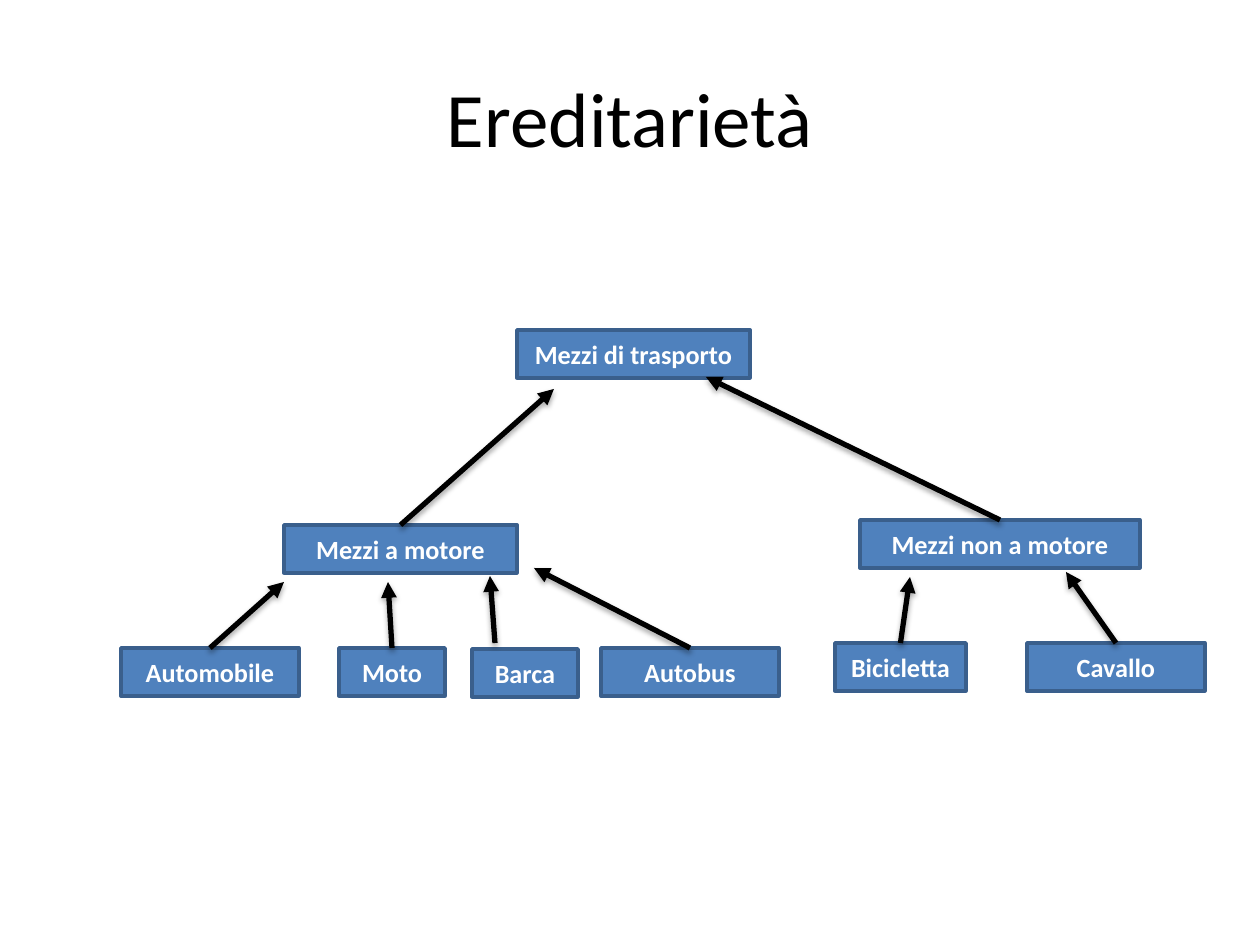
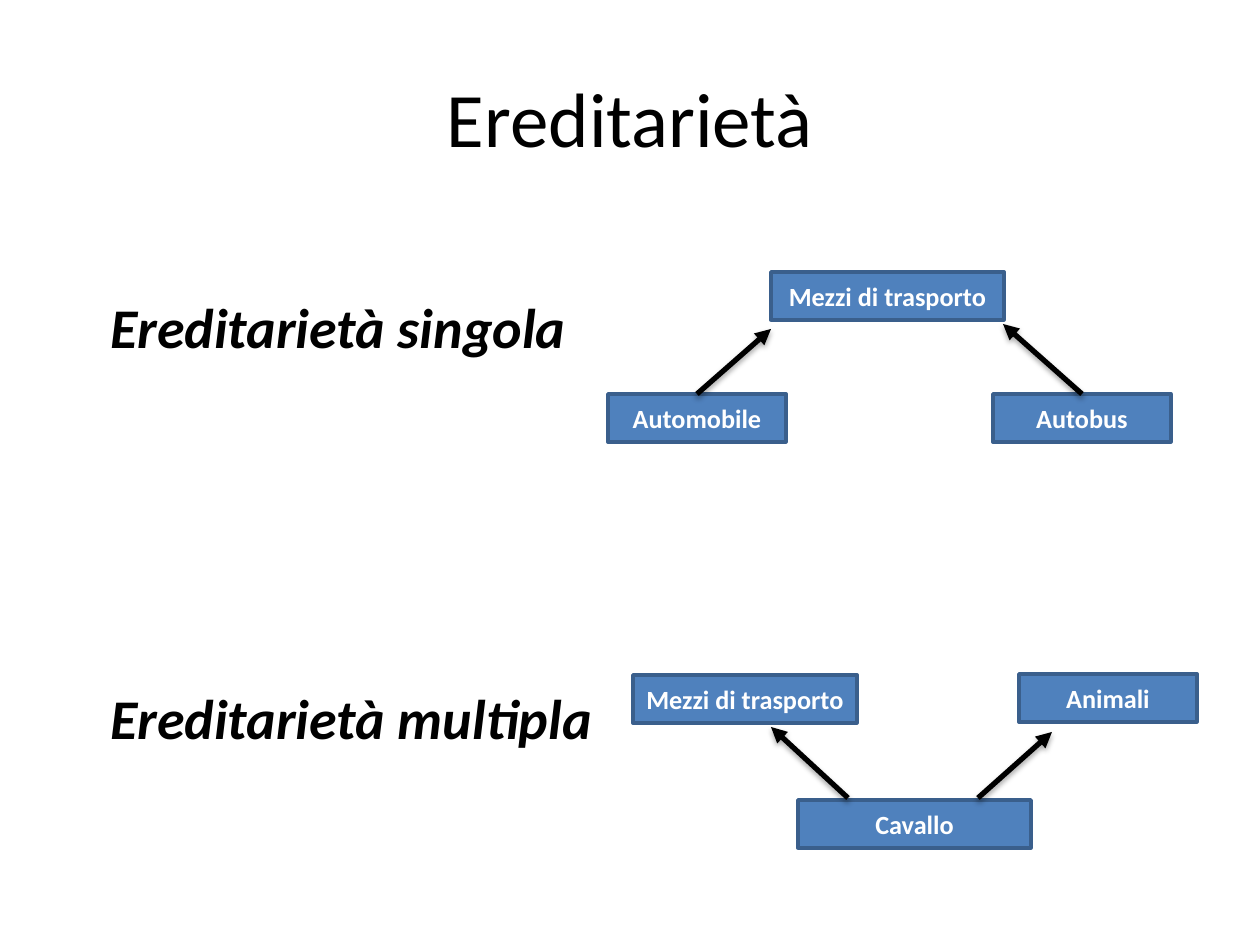
from lxml.etree import SubElement
from pptx import Presentation
from pptx.dml.color import RGBColor
from pptx.enum.shapes import MSO_CONNECTOR, MSO_SHAPE
from pptx.enum.text import MSO_ANCHOR, PP_ALIGN
from pptx.oxml import parse_xml
from pptx.oxml.ns import nsdecls, qn
from pptx.util import Emu, Pt

PX = 914400 / 126
BLACK = RGBColor(0x00, 0x00, 0x00)
WHITE = RGBColor(0xFF, 0xFF, 0xFF)
BLUE = RGBColor(0x4F, 0x81, 0xBD)
DARK_BLUE = RGBColor(0x3A, 0x5F, 0x8C)

TITLE_FONT = {"name": "Calibri", "size": Pt(44)}
HEADING_FONT = {"name": "Calibri", "size": Pt(32), "bold": True, "italic": True}
CLASS_FONT = {"name": "Calibri", "size": Pt(15), "bold": True}

TOP = 0
BOX_HEIGHT = 48
NARROW, MEDIUM, WIDE = 106, 178, 233

ARROW_SHADOW = (
    f'<a:effectLst {nsdecls("a")}>'
    '<a:outerShdw blurRad="40000" dist="23000" dir="5400000" rotWithShape="0">'
    '<a:srgbClr val="000000"><a:alpha val="35000"/></a:srgbClr>'
    '</a:outerShdw></a:effectLst>'
)


def px(*lengths):
    return [Emu(round(length * PX)) for length in lengths]


class DiagramDeck:
    def __init__(self, width, height):
        self.deck = Presentation()
        self.deck.slide_width, self.deck.slide_height = px(width, height)
        self.page = None

    def add_page(self, title):
        self.page = self.deck.slides.add_slide(self.deck.slide_layouts[6])
        self.add_text((63, 38, 1134, 158), [title], TITLE_FONT,
                      PP_ALIGN.CENTER, MSO_ANCHOR.MIDDLE)

    def set_lines(self, frame, lines, font, color, align, anchor, gap=0):
        frame.word_wrap = True
        frame.vertical_anchor = anchor
        for index, line in enumerate(lines):
            para = frame.add_paragraph() if index else frame.paragraphs[0]
            para.alignment = align
            if index:
                para.space_before = Pt(gap)
            span = para.add_run()
            span.text = line
            for name, value in font.items():
                setattr(span.font, name, value)
            span.font.color.rgb = color

    def add_text(self, area, lines, font, align, anchor, gap=0):
        box = self.page.shapes.add_textbox(*px(*area))
        self.set_lines(box.text_frame, lines, font, BLACK, align, anchor, gap)

    def add_class(self, name, left, top, width, parent_point=None):
        """Add a class box, with an arrow from its top to parent_point."""
        box = self.page.shapes.add_shape(
            MSO_SHAPE.RECTANGLE, *px(left, top, width, BOX_HEIGHT))
        box.shadow.inherit = False
        box.fill.solid()
        box.fill.fore_color.rgb = BLUE
        box.line.color.rgb = DARK_BLUE
        box.line.width = Pt(2)
        frame = box.text_frame
        frame.margin_left = frame.margin_right = px(6)[0]
        self.set_lines(frame, [name], CLASS_FONT, WHITE,
                       PP_ALIGN.CENTER, MSO_ANCHOR.MIDDLE)
        if parent_point:
            arrow = self.add_arrow((left + width // 2, top), parent_point)
            arrow.begin_connect(box, TOP)

    def add_arrow(self, start, end):
        arrow = self.page.shapes.add_connector(
            MSO_CONNECTOR.STRAIGHT, *px(*start, *end))
        arrow.line.color.rgb = BLACK
        arrow.line.width = Pt(3)
        properties = arrow._element.spPr
        SubElement(properties.find(qn("a:ln")), qn("a:tailEnd"), type="triangle")
        properties.append(parse_xml(ARROW_SHADOW))
        return arrow


def add_transport_tree(diagram):
    diagram.add_page("Ereditarietà")

    # Base class and its two branches
    diagram.add_class("Mezzi di trasporto", 517, 330, WIDE)
    diagram.add_class("Mezzi a motore", 284, 525, WIDE, (554, 389))
    diagram.add_class("Mezzi non a motore", 860, 520, 280, (706, 377))

    # Motor vehicles
    diagram.add_class("Automobile", 121, 648, MEDIUM, (284, 582))
    diagram.add_class("Moto", 339, 648, NARROW, (388, 582))
    diagram.add_class("Autobus", 601, 648, MEDIUM, (534, 568))
    diagram.add_class("Barca", 472, 649, NARROW)
    diagram.add_arrow((495, 643), (490, 576))

    # Vehicles without a motor
    diagram.add_class("Bicicletta", 835, 643, 131, (910, 577))
    diagram.add_class("Cavallo", 1027, 643, MEDIUM, (1066, 572))


def add_inheritance_kinds(diagram):
    diagram.add_page("Ereditarietà")
    diagram.add_text((98, 286, 1086, 519),
                     ["Ereditarietà singola", "Ereditarietà multipla"],
                     HEADING_FONT, PP_ALIGN.JUSTIFY, MSO_ANCHOR.TOP, gap=185)

    # Single inheritance
    diagram.add_class("Mezzi di trasporto", 771, 272, WIDE)
    diagram.add_class("Automobile", 608, 394, MEDIUM, (771, 329))
    diagram.add_class("Autobus", 993, 394, MEDIUM, (1003, 324))

    # Multiple inheritance
    diagram.add_class("Mezzi di trasporto", 633, 675, 224)
    diagram.add_class("Animali", 1019, 674, MEDIUM)
    diagram.add_class("Cavallo", 798, 800, WIDE)
    diagram.add_arrow((978, 798), (1052, 732))
    diagram.add_arrow((848, 798), (771, 727))


def main():
    diagram = DiagramDeck(1260, 945)
    add_transport_tree(diagram)
    add_inheritance_kinds(diagram)
    diagram.deck.save("out.pptx")


if __name__ == "__main__":
    main()
